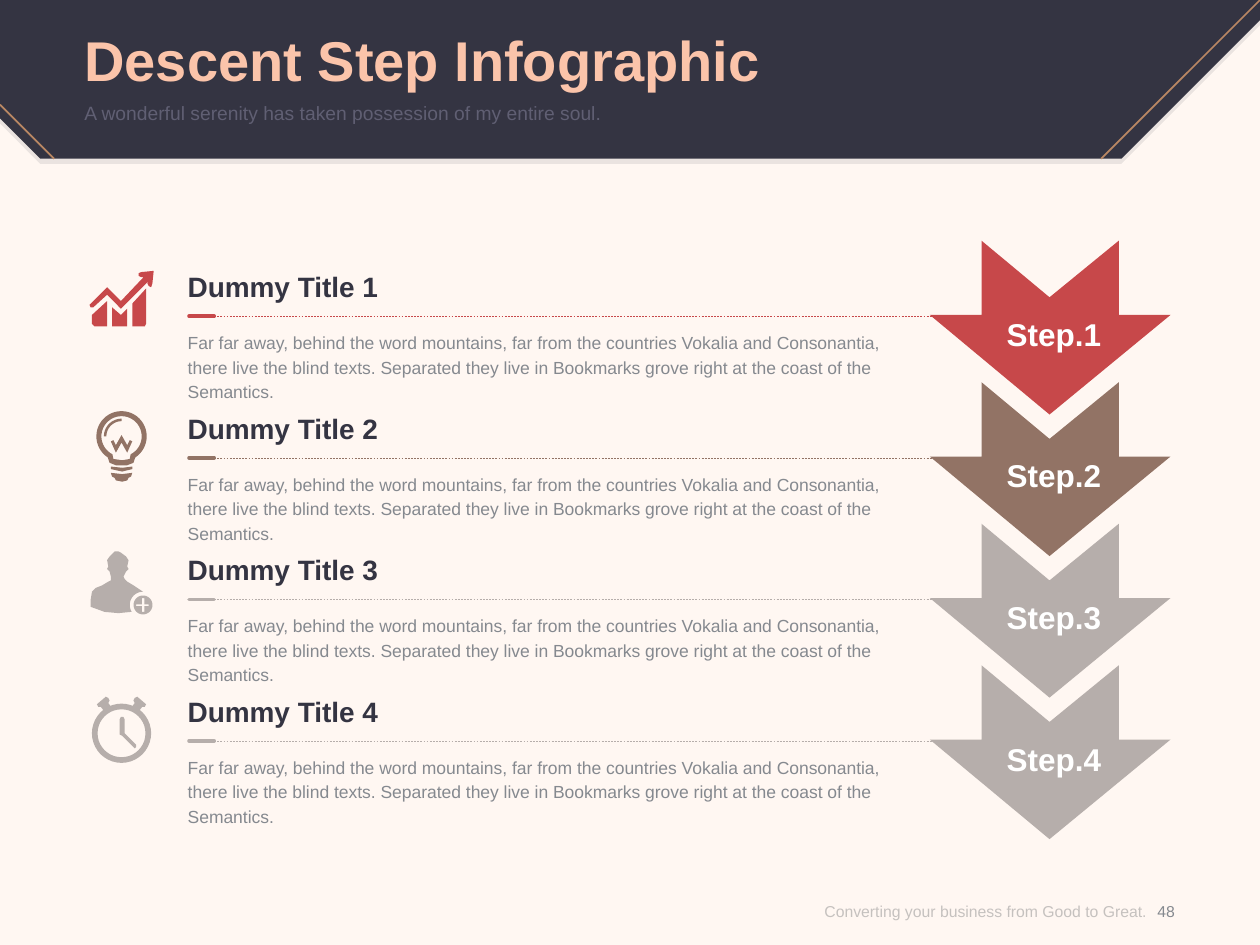
from dataclasses import dataclass
from math import cos, radians, sin

from lxml.etree import SubElement
from pptx import Presentation
from pptx.dml.color import RGBColor
from pptx.enum.dml import MSO_LINE
from pptx.enum.shapes import MSO_CONNECTOR
from pptx.enum.text import MSO_ANCHOR as Anchor, PP_ALIGN as Align
from pptx.oxml.ns import qn
from pptx.util import Inches, Pt


@dataclass(frozen=True)
class Theme:
    font: str = "Arial"
    paper: str = "FFF7F2"
    navy: str = "343442"
    peach: str = "FBC4AA"
    bronze: str = "B98763"
    subtitle: str = "605F73"
    body: str = "85898F"
    footer: str = "8C8C8C"
    white: str = "FFFFFF"
    red: str = "C7484A"
    brown: str = "927365"
    grey: str = "B6AEAB"
    title_size: float = 32
    subtitle_size: float = 11
    step_size: float = 18
    heading_size: float = 16
    body_size: float = 10
    footer_size: float = 9


THEME = Theme()
BODY = ("Far far away, behind the word mountains, far from the countries Vokalia "
        "and Consonantia, there live the blind texts. Separated they live in "
        "Bookmarks grove right at the coast of the Semantics.")


# Drawing helpers
def set_color(fill, color, alpha=None):
    fill.solid()
    fill.fore_color.rgb = RGBColor.from_string(color)
    if alpha is not None:
        color_xml = fill._xPr.find(qn("a:solidFill"))[0]
        SubElement(color_xml, qn("a:alpha")).set("val", str(alpha * 1000))


def add_text(slide, text, box, *, size, color, bold=False, align=Align.LEFT,
             anchor=Anchor.TOP, spacing=None, alpha=None):
    frame = slide.shapes.add_textbox(*map(Inches, box)).text_frame
    frame.word_wrap = True
    frame.vertical_anchor = anchor
    frame.margin_left = frame.margin_right = frame.margin_top = frame.margin_bottom = 0
    paragraph = frame.paragraphs[0]
    paragraph.alignment = align
    if spacing:
        paragraph.line_spacing = Pt(spacing)
    run = paragraph.add_run()
    run.text = text
    run.font.name, run.font.size, run.font.bold = THEME.font, Pt(size), bold
    set_color(run.font.fill, color, alpha)


def add_line(slide, start, end, color, width, dash=None, rounded=False):
    line = slide.shapes.add_connector(MSO_CONNECTOR.STRAIGHT, *map(Inches, start + end))
    line.line.width = Pt(width)
    set_color(line.line.fill, color)
    if dash:
        line.line.dash_style = dash
    if rounded:
        line.line._get_or_add_ln().set("cap", "rnd")
    SubElement(line._element.spPr, qn("a:effectLst"))


def add_outline(slide, contours, left, top, color, alpha=None, unit=1):
    """Fill closed contours, placed from left and top, as one shape."""
    placed = [[(Inches(left + x * unit), Inches(top + y * unit)) for x, y in contour]
              for contour in contours]
    builder = slide.shapes.build_freeform(*placed[0][0])
    for index, contour in enumerate(placed):
        if index:
            builder.move_to(*contour[0])
        builder.add_line_segments(contour[1:], close=True)
    outline = builder.convert_to_shape()
    outline.shadow.inherit = False
    set_color(outline.fill, color, alpha)
    outline.line.fill.background()


def arc(x, y, radius, start=0, end=360, steps=40):
    angles = [radians(start + (end - start) * i / steps) for i in range(steps + 1)]
    return [(x + radius * cos(a), y + radius * sin(a)) for a in angles]


# Icon contours, in hundredths of an inch
def chart_icon():
    return [
        [(2, 35), (14, 24), (14, 44), (4, 44), (2, 42)],
        [(18, 29), (25, 35), (30, 30), (30, 44), (18, 44)],
        [(34, 26), (45, 14), (45, 42), (44, 44), (34, 44)],
        [(0, 27), (14, 13), (25, 24), (43, 5), (41, 5), (39, 4), (39, 2), (41, 1),
         (51, 0), (50, 10), (49, 13), (47, 12), (46, 10), (47, 8), (25, 30),
         (14, 19), (3, 29), (1, 29)],
    ]


def bulb_icon():
    return [
        arc(19.5, 20, 20, 123, 417) + [(29, 41), (24, 43), (15, 43), (10, 41)],
        arc(19.5, 20, 16, 117, 423) + [(26, 38), (20, 39), (13, 38)],
        [(11, 44), (20, 45), (28, 44), (28, 46), (20, 48), (11, 46)],
        [(11, 49), (20, 50), (28, 49), (27, 52), (25, 53), (24, 55), (20, 56),
         (15, 55), (14, 53), (12, 52)],
        arc(19.5, 20, 14, 180, 270) + arc(19.5, 20, 12, 270, 180),
        [(24, 27), (19.5, 19), (15, 27), (13, 23), (11, 24), (15, 33), (19.5, 25),
         (24, 33), (28, 24), (26, 23)],
    ]


def person_icon():
    return [
        [(34, 27), (29, 24), (27, 22), (26, 20), (28, 16), (30, 14), (29, 12),
         (30, 7), (28, 4), (24, 1), (22, 0), (19, 0), (15, 4), (13, 7), (14, 12),
         (13, 14), (15, 16), (16, 20), (16, 23), (14, 24), (9, 27), (4, 29),
         (1, 32), (0, 38), (0, 44), (11, 48), (22, 49), (32, 48)]
        + arc(41.5, 42.5, 10.5, 150, 270),
        arc(41.5, 42.5, 7.5),
        [(36, 42), (40.5, 42), (40.5, 37), (42.5, 37), (42.5, 42), (46, 42), (46, 43.5),
         (42.5, 43.5), (42.5, 48), (40.5, 48), (40.5, 43.5), (36, 43.5)],
    ]


def clock_icon():
    bell = [(4, 6), (11, 0), (13, 1), (14, 3), (13, 5), (14.5, 7), (9, 10.5),
            (7, 8), (5, 8)]
    hands = [(22, 18), (23, 16), (25, 16), (26, 18), (26, 29), (35, 38), (35, 40),
             (34, 41), (33, 40), (24, 31), (22, 30)]
    return [arc(23.5, 29, 23.5), arc(23.5, 29, 19), hands,
            bell, [(47 - x, y) for x, y in bell]]


# Header band with its corner lines, title and subtitle
def add_header(slide, left, top, width, height):
    right, bottom = left + width, top + height
    band = [(0, 0), (width, 0), (width, 0.16), (width - 1.1, height),
            (0.32, height), (0, height - 0.32)]
    add_outline(slide, [band], left, top + 0.04, THEME.navy, alpha=10)
    add_outline(slide, [band], left, top, THEME.navy)
    add_line(slide, (right, top), (right - height, bottom), THEME.bronze, 1)
    add_line(slide, (left, bottom - 0.43), (left + 0.43, bottom), THEME.bronze, 1)
    add_text(slide, "Descent Step Infographic", (left + 0.67, top + 0.14, 8.66, 0.65),
             size=THEME.title_size, color=THEME.peach, bold=True, anchor=Anchor.MIDDLE)
    add_text(slide, "A wonderful serenity has taken possession of my entire soul.",
             (left + 0.67, top + 0.8, 8.66, 0.39),
             size=THEME.subtitle_size, color=THEME.subtitle)


# One step: heading, rule, description and icon
def add_step(slide, left, top, number, color, icon, icon_left, icon_top):
    text_left, rule = left + 0.78, top + 0.6
    add_text(slide, BODY, (text_left, top + 0.7, 5.6, 0.57),
             size=THEME.body_size, color=THEME.body, spacing=14)
    add_text(slide, f"Dummy Title {number}", (text_left, top + 0.23, 5.6, 0.27),
             size=THEME.heading_size, color=THEME.navy, bold=True)
    add_line(slide, (left + 0.99, rule), (left + 0.79, rule), color, 2, rounded=True)
    add_line(slide, (left + 0.99, rule), (left + 7.08, rule), color, 0.25, MSO_LINE.DASH)
    add_outline(slide, icon(), left + icon_left, top + icon_top, color, unit=0.01)


# Notched down arrow with its label
def add_arrow(slide, left, top, number, color):
    arrow = [(1.91, 0.59), (0.95, 1.38), (0, 0.59), (0.41, 0.59), (0.41, 0),
             (0.95, 0.45), (1.5, 0), (1.5, 0.59)]
    add_outline(slide, [arrow], left, top, color)
    add_text(slide, f"Step.{number}", (left + 0.02, top + 0.59, 1.93, 0.3),
             size=THEME.step_size, color=THEME.white, bold=True, align=Align.CENTER)


def add_steps(slide, left, top, last_top):
    steps = [(THEME.red, chart_icon, 0, 0.24), (THEME.brown, bulb_icon, 0.06, 0.23),
             (THEME.grey, person_icon, 0.01, 0.22), (THEME.grey, clock_icon, 0.02, 0.25)]
    pitch = (last_top - top) / (len(steps) - 1)
    for index, (color, *icon) in enumerate(steps):
        step_top = top + index * pitch
        add_step(slide, left, step_top, index + 1, color, *icon)
        add_arrow(slide, left + 6.67, step_top, index + 1, color)


# Footer line and page number
def add_footer(slide, left, top, height):
    add_text(slide, "Converting your business from Good to Great.",
             (left, top, 3.06, height), size=THEME.footer_size, color=THEME.footer,
             align=Align.RIGHT, anchor=Anchor.MIDDLE, alpha=50)
    add_text(slide, "48", (left + 2.98, top, 0.47, height), size=THEME.footer_size,
             color=THEME.body, align=Align.CENTER, anchor=Anchor.MIDDLE)


def main():
    deck = Presentation()
    deck.slide_width, deck.slide_height = Inches(10), Inches(7.5)
    slide = deck.slides.add_slide(deck.slide_layouts[6])
    set_color(slide.background.fill, THEME.paper)
    add_header(slide, 0, 0, 10, 1.26)
    add_steps(slide, 0.71, 1.91, 5.28)
    add_footer(slide, 6.04, 6.96, 0.54)
    deck.save("out.pptx")


if __name__ == "__main__":
    main()
